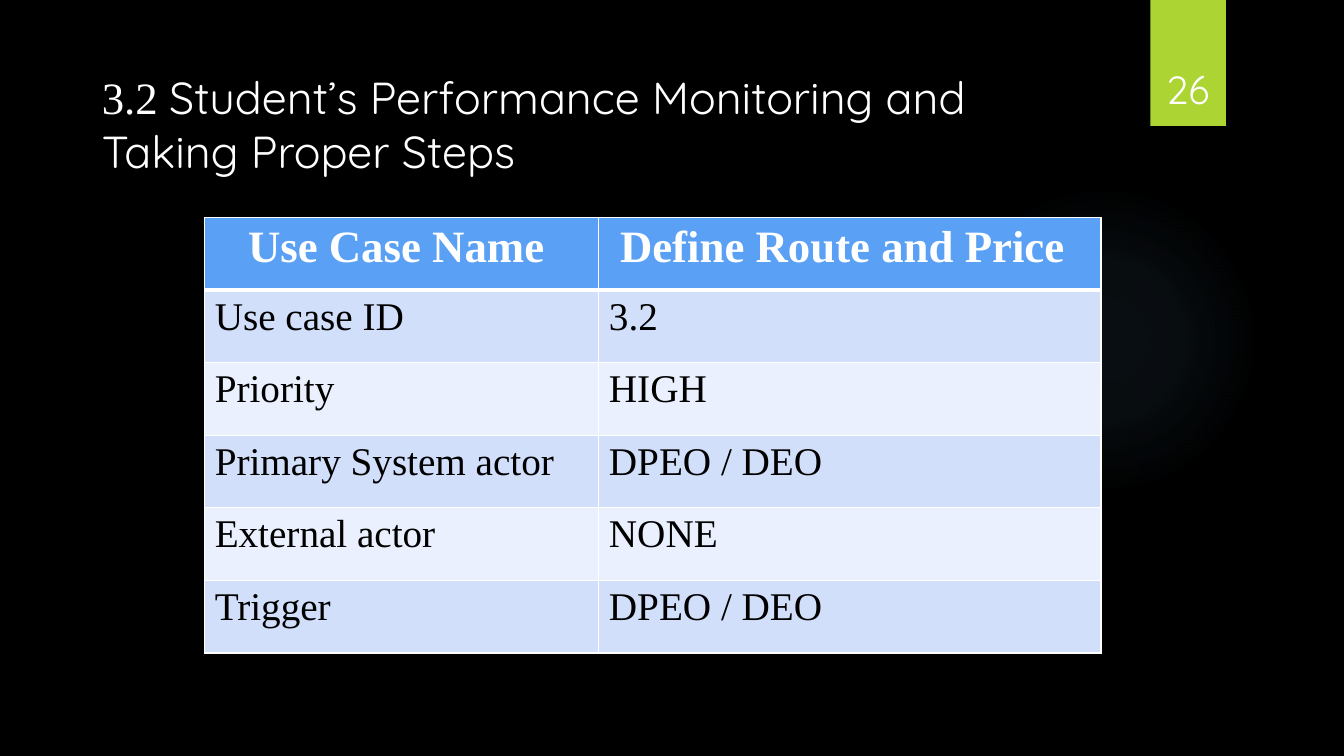
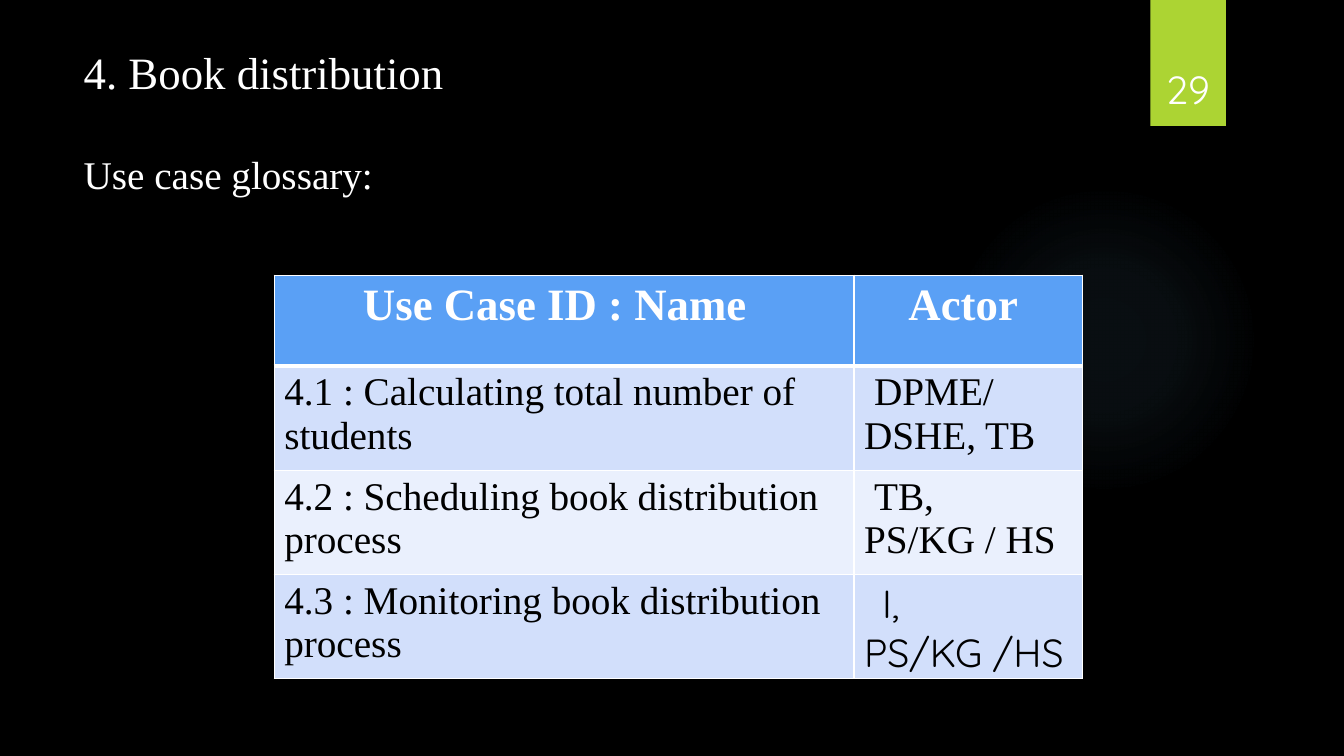
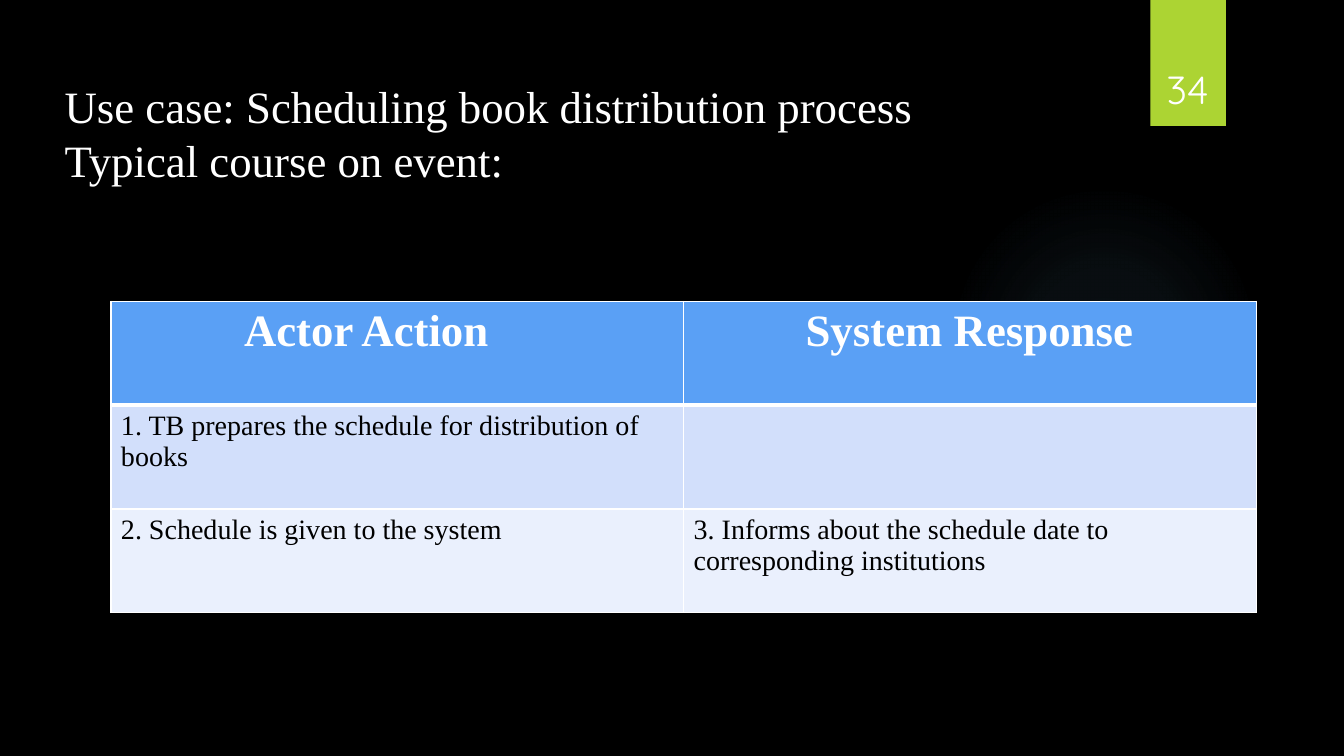
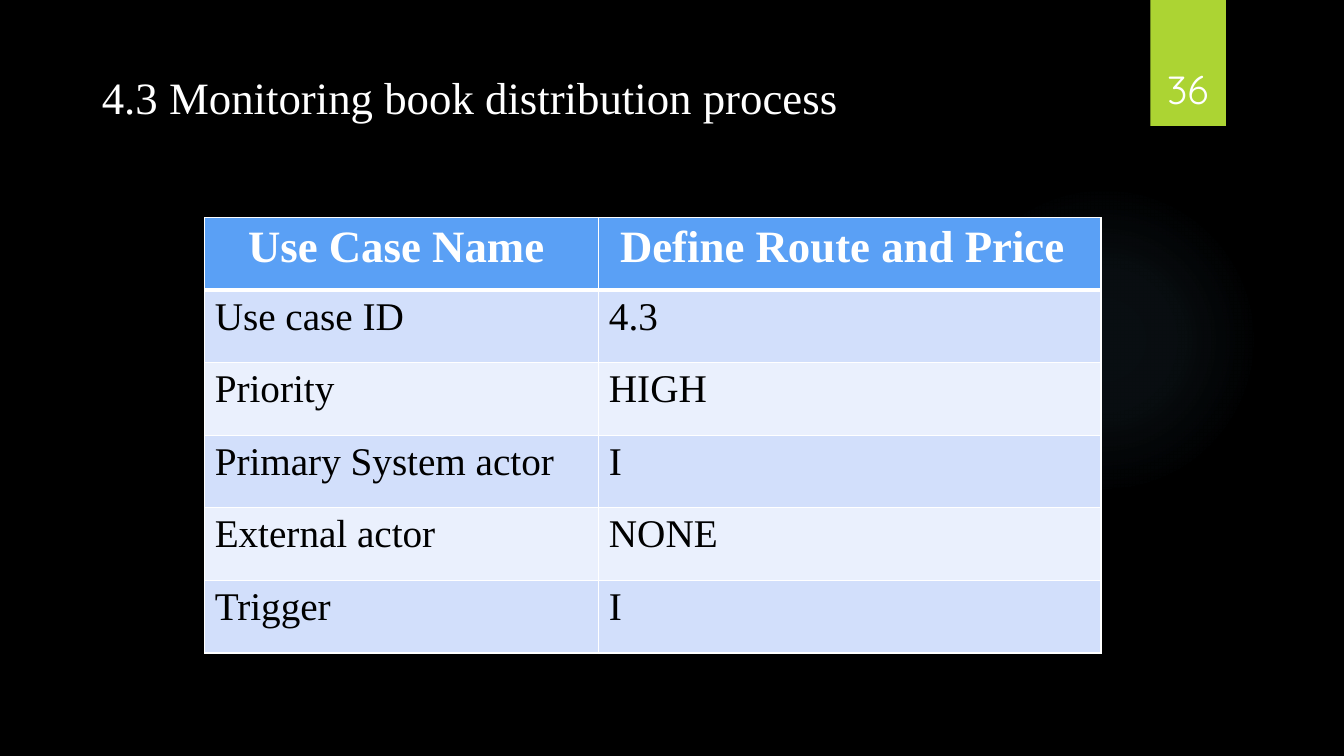
from dataclasses import dataclass

from lxml import etree
from pptx import Presentation
from pptx.dml.color import RGBColor
from pptx.enum import shapes, text
from pptx.oxml import parse_xml
from pptx.oxml.ns import nsdecls
from pptx.util import Inches, Pt


@dataclass(frozen=True)
class Theme:
    serif: str = "Times New Roman"
    sans: str = "Quicksand"
    black: str = "000000"
    white: str = "FFFFFF"
    glow: str = "7AC4F0"
    tab: str = "ACD433"
    header: str = "5AA0F5"
    bands: tuple = ("D2DFFB", "EAF0FD")
    heading: int = 32
    body: int = 28
    small: int = 20
    thin: int = 1
    thick: int = 3


theme = Theme()


def style_font(font, name, size, color, bold=False):
    font.name = name
    font.size = Pt(size)
    font.bold = bold
    font.color.rgb = RGBColor.from_string(color)


def border_cell(cell, widths):
    """Put white lines on the left, right, top and bottom of a cell."""
    properties = cell._tc.get_or_add_tcPr()
    for index, (side, width) in enumerate(zip("LRTB", widths)):
        properties.insert(index, parse_xml(
            f'<a:ln{side} {nsdecls("a")} w="{Pt(width)}"><a:solidFill>'
            f'<a:srgbClr val="{theme.white}"/></a:solidFill></a:ln{side}>'))


# Content: title paragraphs hold (text, font, size) runs,
# and a cell is text or (text, first-line indent, font)
def use_case(number, actor):
    return {
        "table_at": (2.03, 2.16), "columns": (3.91, 4.98), "rows": [0.72] * 6,
        "size": theme.body,
        "cells": [
            [("Use Case Name", 0.33, theme.serif), ("Define Route and Price", 0.11, theme.serif)],
            ["Use case ID", number],
            ["Priority", "HIGH"],
            ["Primary System actor", actor],
            ["External actor", "NONE"],
            ["Trigger", actor],
        ],
    }


pages = [
    {
        "number": "26", "title_at": (0.91, 0.64, 9.66, 1.18),
        "title": [[("3.2 ", theme.serif, theme.heading),
                   ("Student’s Performance Monitoring and Taking Proper Steps",
                    theme.sans, theme.heading)]],
        **use_case("3.2", "DPEO / DEO"),
    },
    {
        "number": "29", "title_at": (0.73, 0.39, 9.85, 1.58), "title_gap": 37,
        "title": [[("4. Book distribution", theme.serif, theme.heading)],
                  [("Use case glossary:", theme.serif, theme.body)]],
        "table_at": (2.72, 2.73), "columns": (5.75, 2.27), "rows": [0.9] + [1.03] * 3,
        "size": theme.body,
        "cells": [
            [("Use Case ID : Name", 0.78, theme.serif), ("Actor", 0.44, theme.serif)],
            ["4.1 : Calculating total number of students",
             ("DPME/ DSHE, TB", 0.1, theme.serif)],
            ["4.2 : Scheduling book distribution process",
             ("TB,\nPS/KG / HS", 0.1, theme.serif)],
            ["4.3 : Monitoring book distribution process",
             ("I,\nPS/KG /HS", 0.18, theme.sans)],
        ],
    },
    {
        "number": "34", "title_at": (0.54, 0.73, 10.3, 1.18),
        "title": [[("Use case: Scheduling book distribution process",
                    theme.serif, theme.heading)],
                  [("Typical course on event:", theme.serif, theme.heading)]],
        "table_at": (1.1, 2.99), "columns": (5.68, 5.68), "rows": [1.03] * 3,
        "size": theme.small,
        "cells": [
            [("Actor Action", 1.22, theme.serif), ("System Response", 1.11, theme.serif)],
            ["1. TB prepares the schedule for distribution of books", ""],
            ["2. Schedule is given to the system",
             "3. Informs about the schedule date to corresponding institutions"],
        ],
    },
    {
        "number": "36", "title_at": (0.91, 0.64, 9.66, 0.64),
        "title": [[("4.3 Monitoring book distribution process",
                    theme.serif, theme.heading)]],
        **use_case("4.3", "I"),
    },
]

presentation = Presentation()
presentation.slide_width = Inches(13.33)
presentation.slide_height = Inches(7.5)
layout = presentation.slide_layouts.get_by_name("Title Only")
slides = [presentation.slides.add_slide(layout) for _ in pages]

# Shared backdrop: black ground, soft glow and green number tab on the layout
ground = presentation.slide_master.background.fill
ground.solid()
ground.fore_color.rgb = RGBColor.from_string(theme.black)

glow = slides[0].shapes.add_shape(
    shapes.MSO_SHAPE.OVAL, Inches(9.41), Inches(1.83), Inches(3.08), Inches(3.08))
stops = "".join(
    f'<a:gs pos="{place * 1000}"><a:srgbClr val="{theme.glow}">'
    f'<a:alpha val="{alpha * 1000}"/></a:srgbClr></a:gs>'
    for place, alpha in ((0, 7), (36, 6), (69, 0), (100, 0)))
glow.element.spPr.find("{*}prstGeom").addnext(parse_xml(
    f'<a:gradFill {nsdecls("a")}><a:gsLst>{stops}</a:gsLst><a:path path="circle">'
    '<a:fillToRect l="50000" t="50000" r="50000" b="50000"/></a:path></a:gradFill>'))

tab = slides[0].shapes.add_shape(
    shapes.MSO_SHAPE.RECTANGLE, Inches(11.41), 0, Inches(0.75), Inches(1.25))
tab.fill.solid()
tab.fill.fore_color.rgb = RGBColor.from_string(theme.tab)

for shape_id, shape in enumerate((glow, tab), start=101):
    shape.line.fill.background()
    shape.shadow.inherit = False
    shape.element.nvSpPr.cNvPr.set("id", str(shape_id))
    layout.shapes.element.append(shape.element)

for slide, page in zip(slides, pages):
    # Title
    title = slide.shapes.title
    title.left, title.top, title.width, title.height = map(Inches, page["title_at"])
    frame = title.text_frame
    frame.word_wrap = True
    frame.auto_size = text.MSO_AUTO_SIZE.SHAPE_TO_FIT_TEXT
    frame.vertical_anchor = text.MSO_ANCHOR.TOP
    for index, runs in enumerate(page["title"]):
        paragraph = frame.add_paragraph() if index else frame.paragraphs[0]
        paragraph.alignment = text.PP_ALIGN.LEFT
        if index:
            paragraph.space_before = Pt(page.get("title_gap", 0))
        for words, font_name, size in runs:
            run = paragraph.add_run()
            run.text = words
            style_font(run.font, font_name, size, theme.white)

    # Table
    left, top = page["table_at"]
    columns, rows = page["columns"], page["rows"]
    table = slide.shapes.add_table(
        len(rows), len(columns), Inches(left), Inches(top),
        Inches(sum(columns)), Inches(sum(rows))).table
    for column, width in zip(table.columns, columns):
        column.width = Inches(width)
    for row_index, (height, entries) in enumerate(zip(rows, page["cells"])):
        table.rows[row_index].height = Inches(height)
        is_header = row_index == 0
        fill = theme.header if is_header else theme.bands[(row_index - 1) % 2]
        color = theme.white if is_header else theme.black
        size = theme.heading if is_header else page["size"]
        for column_index, entry in enumerate(entries):
            words, indent, font_name = (
                (entry, 0, theme.serif) if isinstance(entry, str) else entry)
            cell = table.cell(row_index, column_index)
            cell.fill.solid()
            cell.fill.fore_color.rgb = RGBColor.from_string(fill)
            border_cell(cell, (theme.thin, theme.thin,
                               theme.thick if row_index == 1 else theme.thin,
                               theme.thick if is_header else theme.thin))
            paragraph = cell.text_frame.paragraphs[0]
            paragraph.text = words
            if indent:
                paragraph._p.get_or_add_pPr().set("indent", str(Inches(indent)))
            for run in paragraph.runs:
                style_font(run.font, font_name, size, color, is_header)

    # Slide number on the green tab
    number = slide.shapes.add_textbox(
        Inches(11.32), Inches(0.32), Inches(0.92), Inches(0.84))
    frame = number.text_frame
    frame.word_wrap = True
    frame.vertical_anchor = text.MSO_ANCHOR.BOTTOM
    frame.text = page["number"]
    paragraph = frame.paragraphs[0]
    paragraph.alignment = text.PP_ALIGN.CENTER
    style_font(paragraph.runs[0].font, theme.sans, theme.body, theme.white)

presentation.save("out.pptx")
